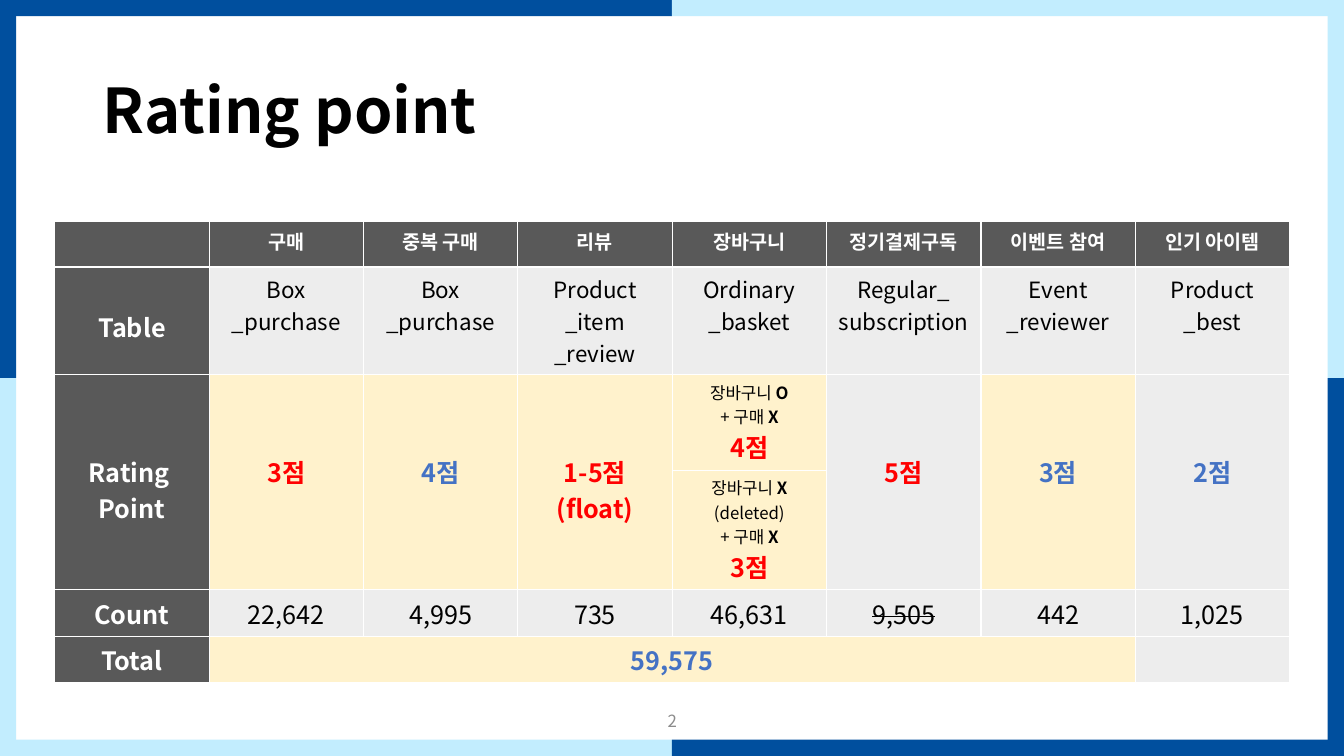
import pptx
import pptx.dml.color
import pptx.enum.shapes
import pptx.enum.text
import pptx.oxml.ns
import pptx.util
from lxml import etree
from pptx.util import Cm

RGBColor = pptx.dml.color.RGBColor
NAVY = RGBColor(0x00, 0x4F, 0x9E)
SKY = RGBColor(0xC2, 0xED, 0xFE)
BLACK = RGBColor(0x00, 0x00, 0x00)
WHITE = RGBColor(0xFF, 0xFF, 0xFF)
DARK_GRAY = RGBColor(0x59, 0x59, 0x59)
LIGHT_GRAY = RGBColor(0xED, 0xED, 0xED)
NUMBER_GRAY = RGBColor(0x8C, 0x8C, 0x8C)
CREAM = RGBColor(0xFF, 0xF2, 0xCC)
RED = RGBColor(0xFF, 0x00, 0x00)
BLUE = RGBColor(0x44, 0x72, 0xC4)

FONT = "Noto Sans CJK KR"
CENTER = pptx.enum.text.PP_ALIGN.CENTER
LEFT = pptx.enum.text.PP_ALIGN.LEFT
SLIDE_WIDTH, SLIDE_HEIGHT, BAND = Cm(33.87), Cm(19.05), Cm(0.41)
ROW_HEIGHTS = [1.14, 2.71, 2.41, 3.01, 1.17, 1.17]
ONE_LINE_DOWN, TWO_LINES_DOWN = Cm(1.05), Cm(1.97)

HEADERS = ["", "구매", "중복 구매", "리뷰", "장바구니", "정기결제구독", "이벤트 참여", "인기 아이템"]
SOURCES = ["Box\n_purchase", "Box\n_purchase", "Product\n_item\n_review", "Ordinary\n_basket",
           "Regular_\nsubscription", "Event\n_reviewer", "Product\n_best"]
RATINGS = {
    1: ("3점", RED, CREAM),
    2: ("4점", BLUE, CREAM),
    3: ("1-5점\n(float)", RED, CREAM),
    5: ("5점", RED, LIGHT_GRAY),
    6: ("3점", BLUE, CREAM),
    7: ("2점", BLUE, LIGHT_GRAY),
}
BASKET_RULES = [
    ([["장바구니 ", "O"], ["+ 구매 ", "X"]], "4점"),
    ([["장바구니 ", "X", " (deleted)"], ["+ 구매 ", "X"]], "3점"),
]
COUNTS = ["22,642", "4,995", "735", "46,631", "9,505", "442", "1,025"]
CANCELLED_COUNT = "9,505"


def style_paragraph(paragraph, size, color, bold=None, alignment=CENTER):
    """Set the alignment and the font of a paragraph."""
    paragraph.alignment = alignment
    font = paragraph.font
    font.size = pptx.util.Pt(size)
    font.bold = bold
    font.color.rgb = color
    font.name = FONT
    east_asian = etree.SubElement(font._element, pptx.oxml.ns.qn("a:ea"))
    east_asian.set("typeface", FONT)


def add_band(slide, left, top, width, height, color):
    """Add one plain coloured band of the slide frame."""
    shape = slide.shapes.add_shape(
        pptx.enum.shapes.MSO_SHAPE.RECTANGLE, left, top, width, height)
    shape.shadow.inherit = False
    shape.fill.solid()
    shape.fill.fore_color.rgb = color
    shape.line.fill.background()


def add_frame(slide):
    """Draw the two-coloured frame around the slide."""
    half_width, half_height = SLIDE_WIDTH // 2, SLIDE_HEIGHT // 2
    right, bottom = SLIDE_WIDTH - BAND, SLIDE_HEIGHT - BAND
    for top, colors in ((0, (NAVY, SKY)), (bottom, (SKY, NAVY))):
        for index, color in enumerate(colors):
            add_band(slide, index * half_width, top, half_width, BAND, color)
    for left, colors in ((0, (NAVY, SKY)), (right, (SKY, NAVY))):
        for index, color in enumerate(colors):
            add_band(slide, left, index * half_height, BAND, half_height, color)


def add_label(slide, text, left, top, width, height, size, color, bold, alignment):
    """Add a one-paragraph text box, centred vertically."""
    frame = slide.shapes.add_textbox(left, top, width, height).text_frame
    frame.word_wrap = True
    frame.vertical_anchor = pptx.enum.text.MSO_ANCHOR.MIDDLE
    paragraph = frame.paragraphs[0]
    paragraph.text = text
    paragraph.line_spacing = 0.9
    style_paragraph(paragraph, size, color, bold, alignment)


def fill_cell(cell, text, size, color, fill, bold=False, margin_top=Cm(0.13)):
    """Write centred lines in a table cell and colour it."""
    cell.fill.solid()
    cell.fill.fore_color.rgb = fill
    cell.margin_top = margin_top
    cell.text_frame.text = text
    for paragraph in cell.text_frame.paragraphs:
        style_paragraph(paragraph, size, color, bold)


def fill_basket_cell(cell, conditions, rating):
    """Write basket conditions with bold marks above their rating."""
    fill_cell(cell, "", 12, BLACK, CREAM)
    frame = cell.text_frame
    for index, parts in enumerate(conditions):
        paragraph = frame.add_paragraph() if index else frame.paragraphs[0]
        if index:
            style_paragraph(paragraph, 12, BLACK)
        for position, part in enumerate(parts):
            run = paragraph.add_run()
            run.text = part
            run.font.bold = position == 1
    paragraph = frame.add_paragraph()
    paragraph.text = rating
    style_paragraph(paragraph, 18, RED, True)


def add_rating_table(slide):
    """Add the table of sources, rating points and counts."""
    table = slide.shapes.add_table(
        len(ROW_HEIGHTS), len(HEADERS), Cm(1.38), Cm(5.59), Cm(31.12),
        Cm(sum(ROW_HEIGHTS))).table
    for row, height in zip(table.rows, ROW_HEIGHTS):
        row.height = Cm(height)
    for column in (0, 1, 2, 3, 5, 6, 7):
        table.cell(2, column).merge(table.cell(3, column))
    table.cell(5, 1).merge(table.cell(5, 6))

    for column, header in enumerate(HEADERS):
        fill_cell(table.cell(0, column), header, 14, WHITE, DARK_GRAY, True)
    for row, name, margin_top in (
            (1, "Table", ONE_LINE_DOWN), (2, "Rating \nPoint", TWO_LINES_DOWN),
            (4, "Count", Cm(0.13)), (5, "Total", Cm(0.13))):
        fill_cell(table.cell(row, 0), name, 18, WHITE, DARK_GRAY, True, margin_top)

    for column, (source, count) in enumerate(zip(SOURCES, COUNTS), 1):
        fill_cell(table.cell(1, column), source, 16, BLACK, LIGHT_GRAY)
        cell = table.cell(4, column)
        fill_cell(cell, count, 18, BLACK, LIGHT_GRAY)
        if count == CANCELLED_COUNT:
            run = cell.text_frame.paragraphs[0].runs[0]
            run.font._element.set("strike", "sngStrike")
    for column, (rating, color, fill) in RATINGS.items():
        fill_cell(table.cell(2, column), rating, 18, color, fill, True, TWO_LINES_DOWN)
    for row, (conditions, rating) in enumerate(BASKET_RULES, 2):
        fill_basket_cell(table.cell(row, 4), conditions, rating)
    fill_cell(table.cell(5, 1), "59,575", 18, BLUE, CREAM, True)
    fill_cell(table.cell(5, 7), "", 18, BLACK, LIGHT_GRAY)


def main():
    """Build the rating point slide and save it."""
    presentation = pptx.Presentation()
    presentation.slide_width, presentation.slide_height = SLIDE_WIDTH, SLIDE_HEIGHT
    slide = presentation.slides.add_slide(presentation.slide_layouts[6])
    add_frame(slide)
    add_label(slide, "Rating point", Cm(2.34), Cm(1.02), Cm(29.21), Cm(3.68),
              44, BLACK, True, LEFT)
    add_label(slide, "2", Cm(13.13), Cm(17.68), Cm(7.62), Cm(1.02),
              12, NUMBER_GRAY, False, CENTER)
    add_rating_table(slide)
    presentation.save("out.pptx")


if __name__ == "__main__":
    main()
